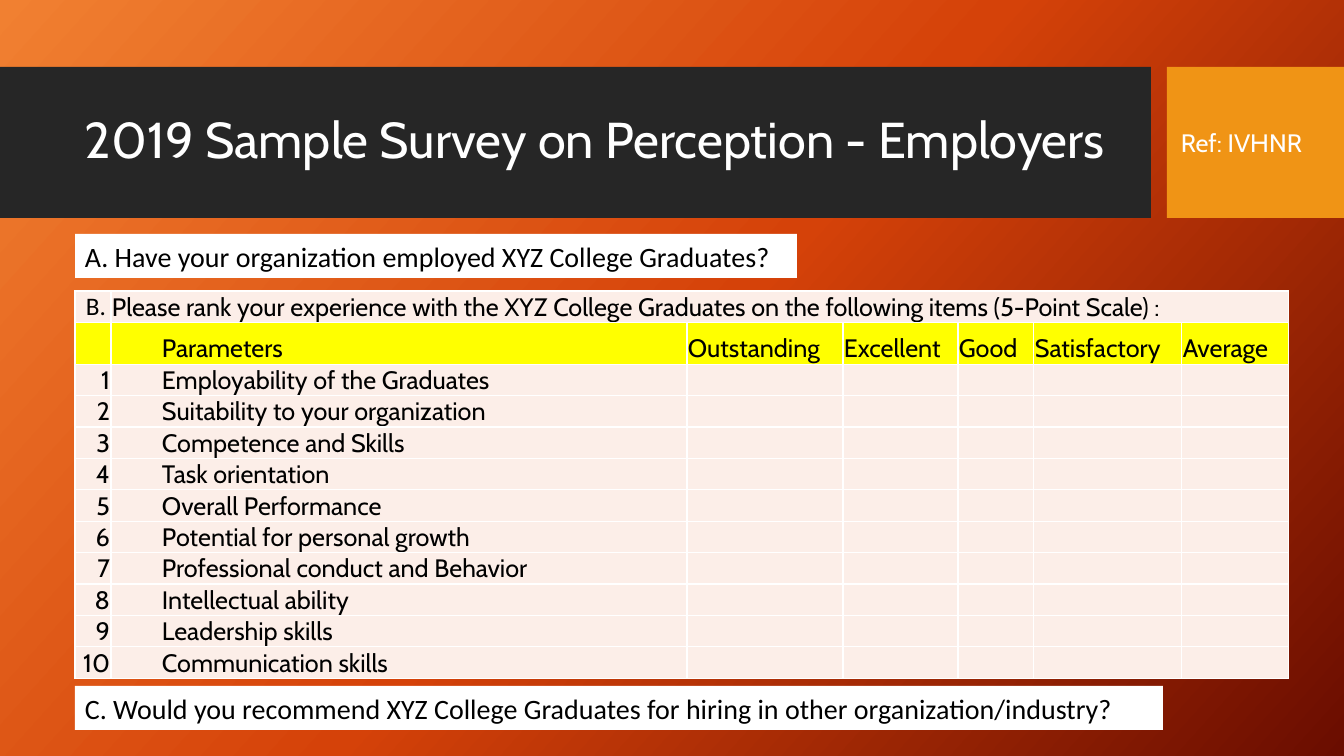
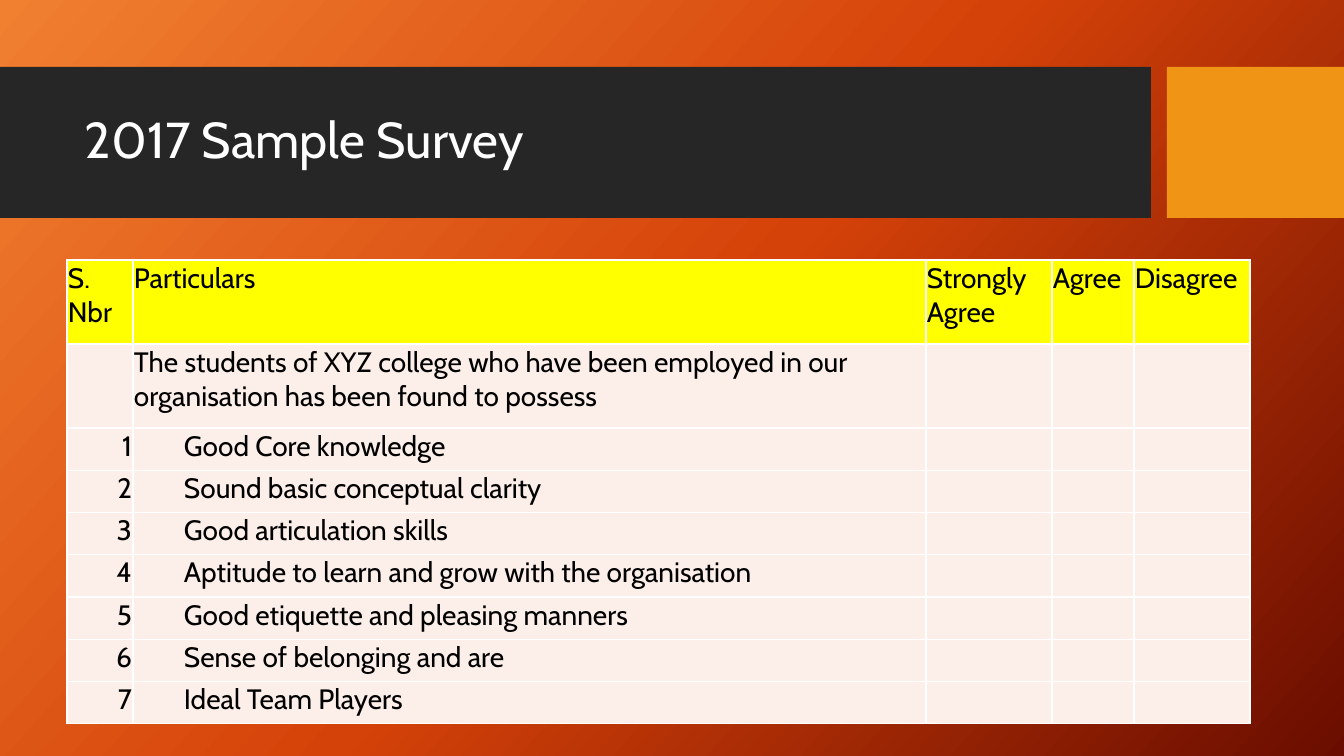
from copy import deepcopy
from lxml.etree import SubElement
from pptx import Presentation
from pptx.dml.color import RGBColor
from pptx.enum.shapes import MSO_SHAPE as Preset
from pptx.enum.text import MSO_ANCHOR as Anchor, PP_ALIGN as Align
from pptx.oxml.ns import qn
from pptx.util import Pt

PX = 12192000 / 1344
WHITE = RGBColor(0xFF, 0xFF, 0xFF)
BLACK = RGBColor(0x00, 0x00, 0x00)
CHARCOAL = RGBColor(0x26, 0x26, 0x26)
AMBER = RGBColor(0xF0, 0x94, 0x15)
YELLOW = RGBColor(0xFF, 0xFF, 0x00)
BLUSH = RGBColor(0xFC, 0xEE, 0xE8)
GLOW = (
    (0, RGBColor(0xF1, 0x80, 0x31)),
    (0.5, RGBColor(0xD5, 0x42, 0x09)),
    (1, RGBColor(0x6A, 0x0D, 0x00)),
)
BANDS = ((0, 1151, CHARCOAL), (1167, 177, AMBER))
INDENT = 50


def add_text(slide, box, text, font, size, color, fill=None):
    holder = slide.shapes.add_textbox(*(round(n * PX) for n in box))
    if fill is not None:
        holder.fill.solid()
        holder.fill.fore_color.rgb = fill
    frame = holder.text_frame
    frame.word_wrap = True
    frame.vertical_anchor = Anchor.MIDDLE
    line = frame.paragraphs[0]
    run = line.add_run()
    run.text = text
    run.font.name, run.font.size, run.font.color.rgb = font, Pt(size), color
    return line


def add_survey(slide, corner, widths, height, top_rows, rows, size, anchor, header, first_indent):
    item_height = (height - sum(top_rows)) / (len(rows) - len(top_rows))
    heights = top_rows + [item_height] * (len(rows) - len(top_rows))
    left, top = corner
    extent = (left, top, sum(widths), height)
    survey = slide.shapes.add_table(len(rows), len(widths), *(round(n * PX) for n in extent)).table
    survey.first_row = survey.horz_banding = False
    for column, width in zip(survey.columns, widths):
        column.width = round(width * PX)
    for r, (texts, row_height) in enumerate(zip(rows, heights)):
        survey.rows[r].height = round(row_height * PX)
        for c in range(len(widths)):
            cell = survey.cell(r, c)
            cell.margin_left = cell.margin_right = cell.margin_top = round(PX)
            cell.margin_bottom = 0
            cell.vertical_anchor = anchor
            for side in ("lnL", "lnR", "lnT", "lnB"):
                border = SubElement(cell._tc.get_or_add_tcPr(), qn(f"a:{side}"), w=str(Pt(1)))
                SubElement(SubElement(border, qn("a:solidFill")), qn("a:srgbClr"), val=str(WHITE))
            cell.fill.solid()
            cell.fill.fore_color.rgb = YELLOW if r == header else BLUSH
            line = cell.text_frame.paragraphs[0]
            text = texts[c] if c < len(texts) else ""
            if not text:
                SubElement(line._p, qn("a:endParaRPr"), sz="1200")
                continue
            if text.isdigit():
                line.alignment = Align.RIGHT
            if c == 1 and r >= first_indent:
                line._p.get_or_add_pPr().set("marL", str(round(INDENT * PX)))
            run = line.add_run()
            run.text = text
            run.font.name, run.font.size, run.font.color.rgb = "Cabin", Pt(size), BLACK
    return survey


deck = Presentation()
deck.slide_width, deck.slide_height = round(1344 * PX), round(756 * PX)

backdrop = deck.slide_master.background.fill
backdrop.gradient()
backdrop.gradient_angle = 360 - 42
stops = deck.slide_master.element.find(".//" + qn("p:bgPr")).find(".//" + qn("a:gsLst"))
stops.append(deepcopy(stops[0]))
for stop, (position, color) in zip(backdrop.gradient_stops, GLOW):
    stop.position, stop.color.rgb = position, color

slides = []
for title in ("2019 Sample Survey on Perception - Employers", "2017 Sample Survey"):
    slide = deck.slides.add_slide(deck.slide_layouts[6])
    for left, width, color in BANDS:
        band = slide.shapes.add_shape(Preset.RECTANGLE, *(round(n * PX) for n in (left, 67, width, 151)))
        band.shadow.inherit = False
        band.fill.solid()
        band.fill.fore_color.rgb = color
        band.line.fill.background()
    heading = add_text(slide, (75, 83, 1060, 119), title, "Cabin", 36, WHITE)
    heading.line_spacing = 0.9
    slides.append(slide)
employers, students = slides

parameters = (
    "Employability of the Graduates",
    "Suitability to your organization",
    "Competence and Skills",
    "Task orientation",
    "Overall Performance",
    "Potential for personal growth",
    "Professional conduct and Behavior",
    "Intellectual ability",
    "Leadership skills",
    "Communication skills",
)
ranking_rows = [
    ("B.", "Please rank your experience with the XYZ College Graduates on the following items (5-Point Scale) :"),
    ("", "Parameters", "Outstanding", "Excellent", "Good", "Satisfactory", "Average"),
    *((str(n), text) for n, text in enumerate(parameters, 1)),
]
ranking = add_survey(
    employers, (75, 291), [36, 576, 156, 115, 76, 148, 107], 387, [31, 42],
    ranking_rows, 18, Anchor.BOTTOM, header=1, first_indent=1,
)
ranking.cell(0, 1).merge(ranking.cell(0, 6))
question_b = ranking.cell(0, 0)
question_b.margin_left = round(11 * PX)
question_b.text_frame.paragraphs[0].runs[0].font.name = "Calibri"

for top, width, question in (
    (234, 722, "A. Have your organization employed XYZ College Graduates?"),
    (686, 1088, "C. Would you recommend XYZ College Graduates for hiring in other organization/industry?"),
):
    add_text(employers, (75, top, width, 44), question, "Calibri", 20, BLACK, WHITE)
add_text(employers, (1171, 122, 150, 41), "Ref: IVHNR", "Cabin", 18, WHITE)

qualities = (
    "Good Core knowledge",
    "Sound basic conceptual clarity",
    "Good articulation skills",
    "Aptitude to learn and grow with the organisation",
    "Good etiquette and pleasing manners",
    "Sense of belonging and are",
    "Ideal Team Players",
)
agreement_rows = [
    ("S. Nbr", "Particulars", "Strongly Agree", "Agree", "Disagree"),
    ("", "The students of XYZ college who have been employed in our organisation has been found to possess"),
    *((str(n), text) for n, text in enumerate(qualities, 1)),
]
add_survey(
    students, (67, 260), [66, 793, 126, 82, 116], 464, [84, 84],
    agreement_rows, 20, Anchor.TOP, header=0, first_indent=2,
)

deck.save("out.pptx")
